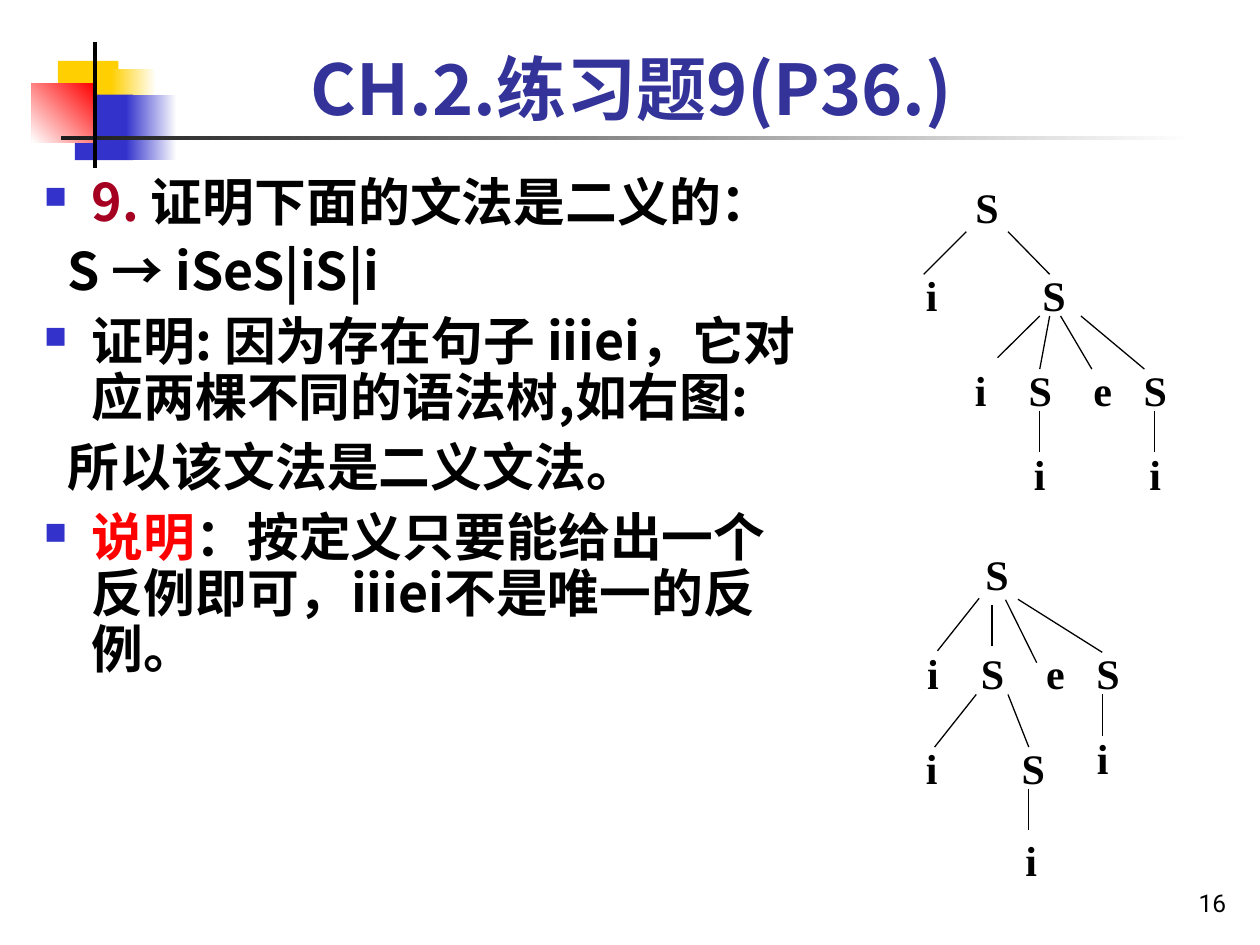
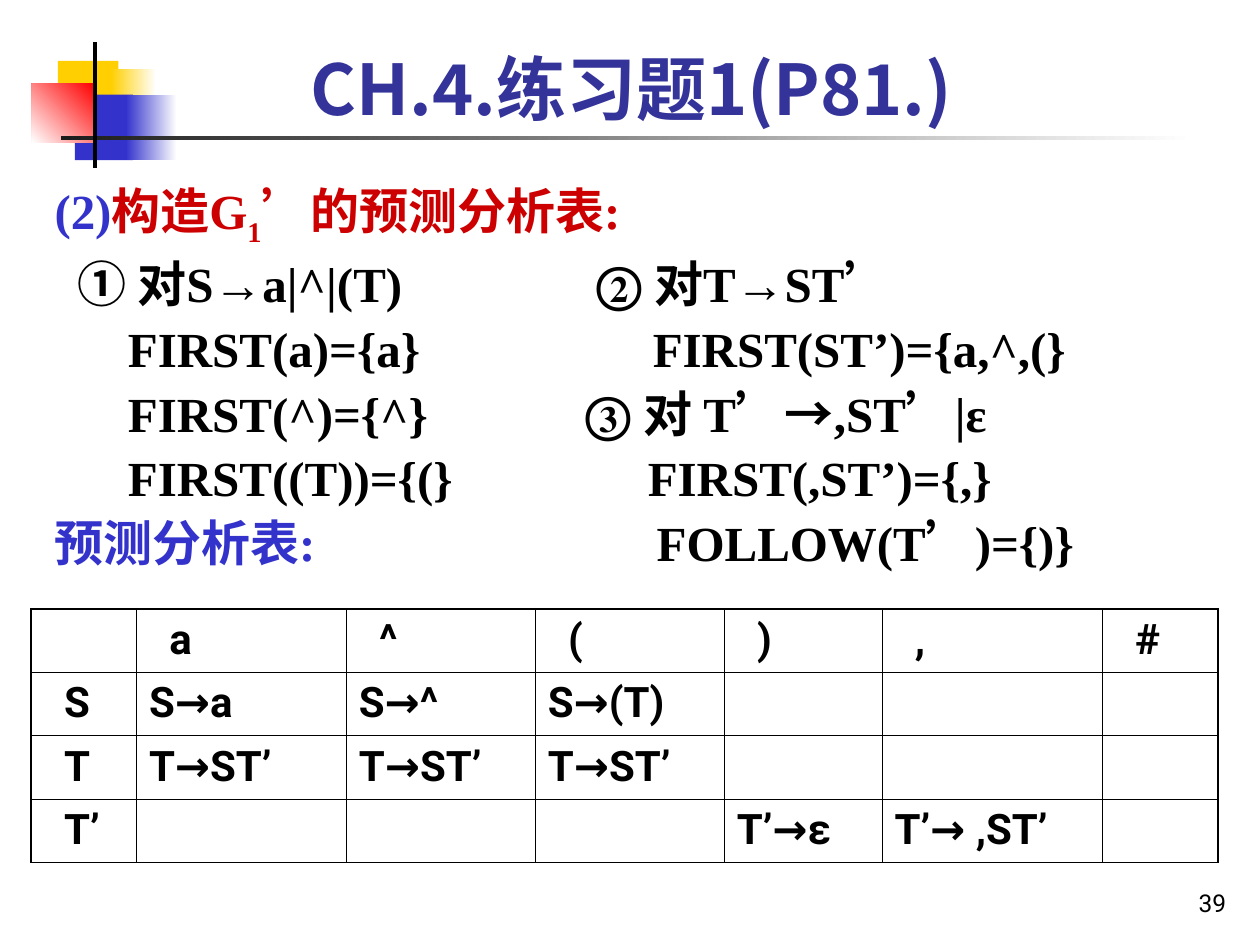
from dataclasses import dataclass

from lxml import etree
from pptx import Presentation
from pptx.dml.color import RGBColor
from pptx.enum.shapes import MSO_CONNECTOR, MSO_SHAPE
from pptx.enum.text import MSO_ANCHOR, PP_ALIGN
from pptx.oxml.ns import qn
from pptx.util import Cm, Pt

RECTANGLE = MSO_SHAPE.RECTANGLE
STRAIGHT = MSO_CONNECTOR.STRAIGHT
CENTER, RIGHT, JUSTIFY = PP_ALIGN.CENTER, PP_ALIGN.RIGHT, PP_ALIGN.JUSTIFY
TOP, BOTTOM = MSO_ANCHOR.TOP, MSO_ANCHOR.BOTTOM


@dataclass(frozen=True)
class Theme:
    black: str = "000000"
    white: str = "FFFFFF"
    charcoal: str = "1C1C1C"
    title: str = "333399"
    blue: str = "3333CC"
    yellow: str = "FFCF01"
    red: str = "FF0000"
    crimson: str = "CC0000"
    maroon: str = "A50021"
    cjk: str = "Noto Sans CJK SC"
    serif: str = "Times New Roman"
    sans: str = "Roboto"
    title_size: float = 40
    body_size: float = 29.6
    formula_size: float = 28
    small_size: float = 24
    number_size: float = 14


THEME = Theme()

# Left, top, width, height in cm; first colour, second colour, angle
MOTIF = [
    (1.17, 1.23, 1.22, 1.32, THEME.yellow, None, 0),
    (2.24, 1.4, 0.91, 1.32, THEME.white, THEME.yellow, 180),
    (1.51, 1.91, 1.17, 1.32, THEME.blue, None, 0),
    (2.54, 1.91, 1.02, 1.32, THEME.white, THEME.blue, 180),
    (0.64, 1.69, 1.27, 1.18, THEME.red, THEME.white, 225),
    (1.23, 2.74, 22.86, 0.09, THEME.white, THEME.charcoal, 180),
]

# Nodes: label, centre x, centre y. Branches: start x, y, end x, y. All in cm.
RIGHT_NESTED_NODES = [
    ("S", 19.9, 4.17),
    ("i", 18.78, 5.94), ("S", 21.25, 5.94),
    ("i", 19.77, 7.85), ("S", 20.97, 7.85), ("e", 22.23, 7.85), ("S", 23.29, 7.85),
    ("i", 20.96, 9.55), ("i", 23.29, 9.55),
]
RIGHT_NESTED_BRANCHES = [
    (19.48, 4.67, 18.62, 5.53), (20.32, 4.67, 21.16, 5.53),
    (20.96, 6.37, 20.11, 7.21), (21.16, 6.37, 20.96, 7.44),
    (21.38, 6.37, 22.01, 7.44), (21.79, 6.37, 23.07, 7.44),
    (20.96, 8.28, 20.96, 9.12), (23.28, 8.28, 23.28, 9.12),
]
LEFT_NESTED_NODES = [
    ("S", 20.1, 11.56),
    ("i", 18.81, 13.57), ("S", 20.01, 13.57), ("e", 21.28, 13.57), ("S", 22.34, 13.57),
    ("i", 18.78, 15.47), ("S", 20.83, 15.47), ("i", 22.23, 15.27),
    ("i", 20.79, 17.33),
]
LEFT_NESTED_BRANCHES = [
    (19.74, 12.06, 18.9, 13.12), (20, 12.19, 20, 13.03),
    (20.27, 12.09, 20.9, 13.36), (20.52, 12.08, 22.22, 13.15),
    (19.68, 14, 18.84, 15.06), (20.32, 14, 20.74, 15.06),
    (22.22, 14, 22.22, 14.83), (20.74, 15.9, 20.74, 16.74),
]

# Bulleted?, then (text, colour) spans
PROOF = [
    (True, [("9. ", THEME.maroon), ("证明下面的文法是二义的：", THEME.black)]),
    (False, [("S → iSeS|iS|i", THEME.black)]),
    (True, [("证明: 因为存在句子 iiiei，它对应两棵不同的语法树,如右图:", THEME.black)]),
    (False, [("所以该文法是二义文法。", THEME.black)]),
    (True, [("说明", THEME.red),
            ("：按定义只要能给出一个反例即可，iiiei不是唯一的反例。", THEME.black)]),
]

# Tab stops in cm, then (text, colour, font) spans
FORMULAS = [
    ([0.46, 10.92], [("\t① 对S→a|^|(T)\t② 对T→ST", THEME.black, THEME.serif),
                     ("’", THEME.black, THEME.cjk)]),
    ([1.48, 12.06], [("\tFIRST(a)={a}\tFIRST(ST’)={a,^,(}", THEME.black, THEME.serif)]),
    ([1.48, 10.7], [("\tFIRST(^)={^}\t③ 对 T", THEME.black, THEME.serif),
                    ("’→", THEME.black, THEME.cjk),
                    (",ST", THEME.black, THEME.serif),
                    ("’", THEME.black, THEME.cjk),
                    ("|ε", THEME.black, THEME.serif)]),
    ([1.48, 11.96], [("\tFIRST((T))={(}\tFIRST(,ST’)={,}", THEME.black, THEME.serif)]),
    ([12.14], [("预测分析表:", THEME.blue, THEME.serif),
               ("\tFOLLOW(T", THEME.black, THEME.serif),
               ("’", THEME.black, THEME.cjk),
               (")={)}", THEME.black, THEME.serif)]),
]

COLUMN_WIDTHS = [2.12, 4.23, 3.81, 3.81, 3.18, 4.44, 2.33]
ROW_HEIGHT = 1.28
PREDICTIONS = [
    ["", "a", "^", "(", ")", ",", "#"],
    ["S", "S→a", "S→^", "S→(T)", "", "", ""],
    ["T", "T→ST’", "T→ST’", "T→ST’", "", "", ""],
    ["T’", "", "", "", "T’→ε", "T’→ ,ST’", ""],
]


def colour(value):
    return RGBColor.from_string(value)


def add_xml(parent, tag, **attributes):
    element = etree.SubElement(parent, qn(tag))
    for name, value in attributes.items():
        element.set(name, str(value))
    return element


def add_span(para, text, size, font, ink=THEME.black, bold=True, baseline=0):
    span = para.add_run()
    span.text = text
    span.font.size = Pt(size)
    span.font.bold = bold
    span.font.color.rgb = colour(ink)
    span.font.name = font
    properties = span._r.get_or_add_rPr()
    add_xml(properties, "a:ea", typeface=THEME.cjk)
    if baseline:
        properties.set("baseline", str(baseline))


def add_text_box(shapes, left, top, width, height, anchor=TOP):
    """Add an empty wrapping text box and return its frame."""
    frame = shapes.add_textbox(Cm(left), Cm(top), Cm(width), Cm(height)).text_frame
    frame.word_wrap = True
    frame.vertical_anchor = anchor
    return frame


def add_label(shapes, text, area, size, font, align=CENTER, anchor=TOP, ink=THEME.black, bold=True):
    para = add_text_box(shapes, *area, anchor=anchor).paragraphs[0]
    para.alignment = align
    add_span(para, text, size, font, ink, bold)


def next_paragraph(frame):
    """Return the empty first paragraph, or a new one after it."""
    first = frame.paragraphs[0]
    return frame.add_paragraph() if first.runs else first


def set_indent(para, left, first=0):
    properties = para._p.get_or_add_pPr()
    properties.set("marL", str(Cm(left)))
    properties.set("indent", str(Cm(first)))
    return properties


def add_line(shapes, start_x, start_y, end_x, end_y, weight):
    line = shapes.add_connector(STRAIGHT, Cm(start_x), Cm(start_y), Cm(end_x), Cm(end_y))
    line.line.color.rgb = colour(THEME.black)
    line.line.width = Pt(weight)
    add_xml(line._element.spPr, "a:effectLst")


def add_block(page, left, top, width, height, first, second, angle):
    """Add a borderless rectangle, plain or with a two-colour gradient."""
    block = page.shapes.add_shape(RECTANGLE, Cm(left), Cm(top), Cm(width), Cm(height))
    block.shadow.inherit = False
    block.line.fill.background()
    if second is None:
        block.fill.solid()
        block.fill.fore_color.rgb = colour(first)
        return
    block.fill.gradient()
    block.fill.gradient_angle = angle
    for stop, value in zip(block.fill.gradient_stops, (first, second)):
        stop.color.rgb = colour(value)


def add_page(deck, title, number):
    """Add a page with the shared motif, title and page number."""
    page = deck.slides.add_slide(deck.slide_layouts[6])
    for block in MOTIF:
        add_block(page, *block)
    add_line(page.shapes, 1.91, 0.85, 1.91, 3.39, 2)
    add_label(page.shapes, str(number), (19.69, 17.35, 5.28, 1.27), THEME.number_size,
              THEME.sans, RIGHT, BOTTOM, bold=False)
    add_label(page.shapes, title, (1.91, 0.78, 21.64, 1.96), THEME.title_size,
              THEME.cjk, CENTER, BOTTOM, THEME.title)
    return page


def add_proof(page):
    frame = add_text_box(page.shapes, 0.64, 3.43, 16.08, 14.35)
    for bulleted, spans in PROOF:
        para = next_paragraph(frame)
        para.line_spacing = 0.9
        para.space_before = Pt(8)
        properties = set_indent(para, 0.96, -0.96 if bulleted else -0.48)
        properties.set("hangingPunct", "0")
        if bulleted:
            add_xml(add_xml(properties, "a:buClr"), "a:srgbClr", val=THEME.blue)
            add_xml(properties, "a:buSzPct", val=60000)
            add_xml(properties, "a:buChar", char="■")
        for text, ink in spans:
            add_span(para, text, THEME.body_size, THEME.cjk, ink)


def add_syntax_tree(page, nodes, branches):
    shapes = page.shapes.add_group_shape().shapes
    width, height = 1.2, 1.27
    for label, x, y in nodes:
        area = (x - width / 2, y - height / 2, width, height)
        add_label(shapes, label, area, THEME.small_size, THEME.serif)
    for branch in branches:
        add_line(shapes, *branch, 0.75)


def add_formulas(page):
    frame = add_text_box(page.shapes, 0.85, 3.39, 23.5, 8.47)
    heading = next_paragraph(frame)
    heading.line_spacing = 1.1
    for text, ink, baseline in [("(2)", THEME.blue, 0), ("构造G", THEME.crimson, 0),
                                ("1", THEME.crimson, -25000)]:
        add_span(heading, text, THEME.formula_size, THEME.serif, ink, baseline=baseline)
    add_span(heading, "’", THEME.formula_size, THEME.cjk, THEME.crimson)
    add_span(heading, "的预测分析表:", THEME.formula_size, THEME.serif, THEME.crimson)
    for stops, spans in FORMULAS:
        para = next_paragraph(frame)
        para.line_spacing = 1.1
        tabs = add_xml(para._p.get_or_add_pPr(), "a:tabLst")
        for stop in stops:
            add_xml(tabs, "a:tab", pos=Cm(stop), algn="l")
        for text, ink, font in spans:
            add_span(para, text, THEME.formula_size, font, ink)


def set_borders(cell, outer_sides):
    """Draw all four sides, heavier where the side is on the table's edge."""
    properties = cell._tc.get_or_add_tcPr()
    for side in "LRTB":
        weight = Pt(1.08 if side in outer_sides else 0.45)
        line = add_xml(properties, f"a:ln{side}", w=weight)
        add_xml(add_xml(line, "a:solidFill"), "a:srgbClr", val=THEME.black)


def add_prediction_table(page):
    row_count, column_count = len(PREDICTIONS), len(COLUMN_WIDTHS)
    table = page.shapes.add_table(row_count, column_count, Cm(0.63), Cm(12.27),
                                  Cm(sum(COLUMN_WIDTHS)), Cm(ROW_HEIGHT * row_count)).table
    table.first_row = table.horz_banding = False
    for column, width in zip(table.columns, COLUMN_WIDTHS):
        column.width = Cm(width)
    for r, values in enumerate(PREDICTIONS):
        table.rows[r].height = Cm(ROW_HEIGHT)
        for c, value in enumerate(values):
            cell = table.cell(r, c)
            edges = {"L": c == 0, "R": c == column_count - 1, "T": r == 0, "B": r == row_count - 1}
            set_borders(cell, [side for side, on_edge in edges.items() if on_edge])
            cell.fill.background()
            if not value:
                continue
            para = cell.text_frame.paragraphs[0]
            para.alignment = JUSTIFY
            para.space_before = Pt(6)
            if r == 0 or c == 0:
                set_indent(para, 0.41)
            add_span(para, value, THEME.small_size, THEME.sans)


def main():
    deck = Presentation()
    deck.slide_width, deck.slide_height = Cm(25.4), Cm(19.05)

    ambiguity = add_page(deck, "CH.2.练习题9(P36.)", 16)
    add_proof(ambiguity)
    add_syntax_tree(ambiguity, RIGHT_NESTED_NODES, RIGHT_NESTED_BRANCHES)
    add_syntax_tree(ambiguity, LEFT_NESTED_NODES, LEFT_NESTED_BRANCHES)

    prediction = add_page(deck, "CH.4.练习题1(P81.)", 39)
    add_formulas(prediction)
    add_prediction_table(prediction)

    deck.save("out.pptx")


if __name__ == "__main__":
    main()
